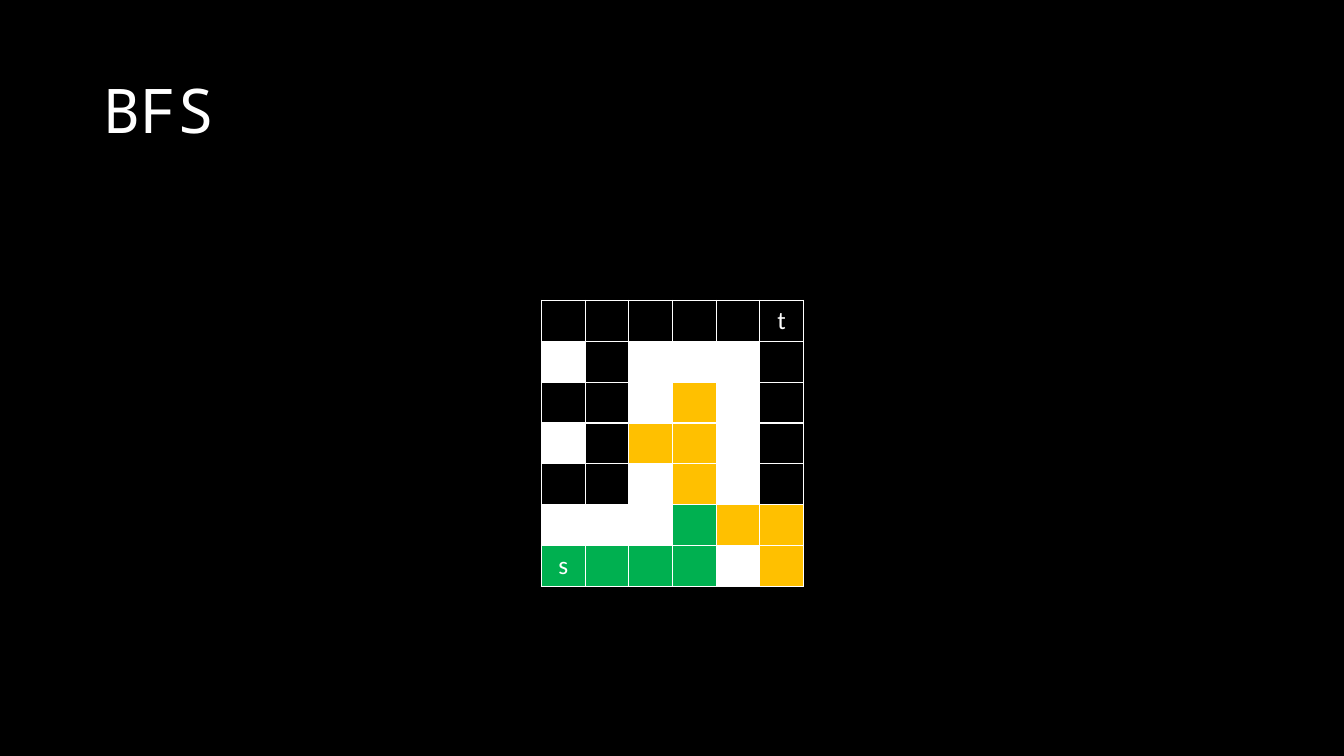
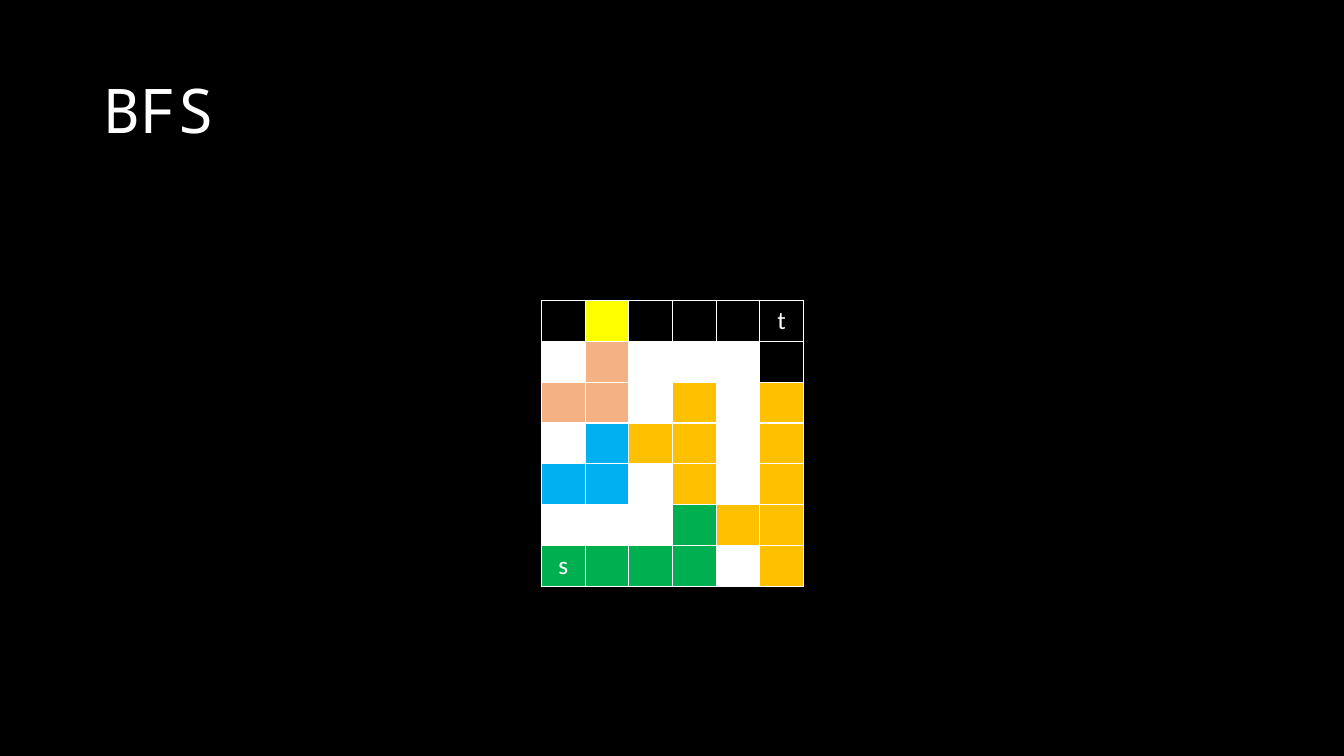
import pptx
import pptx.dml.color
import pptx.enum.text
import pptx.util
from lxml import etree
from pptx.oxml.ns import qn
from pptx.util import Inches

COLORS = {
    "background": "000000",
    "text": "FFFFFF",
    "border": "FFFFFF",
    "#": "FFFFFF",
    "g": "00B050",
    "s": "00B050",
    "o": "FFC000",
    "b": "00B0F0",
    "p": "F4B183",
    "y": "FFFF00",
}
LABELS = "st"
SHARED_ROWS = ["###goo", "sggg#o"]
MAZES = [
    [".....t", "#.###.", "..#o#.", "#.oo#.", "..#o#."] + SHARED_ROWS,
    [".y...t", "#p###.", "pp#o#o", "#boo#o", "bb#o#o"] + SHARED_ROWS,
]


def color(name):
    return pptx.dml.color.RGBColor.from_string(COLORS[name])


class Deck:
    title_font = "Noto Sans Mono"
    body_font = "Calibri"

    def __init__(self):
        self.presentation = pptx.Presentation()
        self.presentation.slide_width = Inches(13.33)
        self.presentation.slide_height = Inches(7.5)
        self.slide = None

    def add_slide(self, title):
        self.slide = self.presentation.slides.add_slide(self.presentation.slide_layouts[5])
        fill = self.slide.background.fill
        fill.solid()
        fill.fore_color.rgb = color("background")
        self.format_title(title)

    def format_title(self, text):
        shape = self.slide.shapes.title
        shape.left, shape.top = Inches(0.92), Inches(0.4)
        shape.width, shape.height = Inches(11.5), Inches(1.45)
        frame = shape.text_frame
        frame.text = text
        frame.auto_size = pptx.enum.text.MSO_AUTO_SIZE.NONE
        frame.vertical_anchor = pptx.enum.text.MSO_ANCHOR.MIDDLE
        paragraph = frame.paragraphs[0]
        paragraph.alignment = pptx.enum.text.PP_ALIGN.LEFT
        paragraph.line_spacing = 0.9
        self.format_runs(paragraph, self.title_font, 44)

    def format_runs(self, paragraph, font, size):
        for run in paragraph.runs:
            run.font.name = font
            run.font.size = pptx.util.Pt(size)
            run.font.color.rgb = color("text")

    def add_maze(self, rows):
        row_count, column_count = len(rows), len(rows[0])
        width, height = Inches(2.6), Inches(0.4 * row_count)
        table = self.slide.shapes.add_table(
            row_count, column_count, Inches(5.37), Inches(2.98), width, height
        ).table
        table.first_row = False
        table.horz_banding = False
        for row_index, row in enumerate(rows):
            for column_index, mark in enumerate(row):
                self.format_cell(table.cell(row_index, column_index), mark)

    def format_cell(self, cell, mark):
        self.add_borders(cell)
        if mark in COLORS:
            cell.fill.solid()
            cell.fill.fore_color.rgb = color(mark)
        else:
            cell.fill.background()
        if mark in LABELS:
            cell.text_frame.text = mark
            paragraph = cell.text_frame.paragraphs[0]
            paragraph.alignment = pptx.enum.text.PP_ALIGN.CENTER
            self.format_runs(paragraph, self.body_font, 18)

    def add_borders(self, cell):
        properties = cell._tc.get_or_add_tcPr()
        for side in "LRTB":
            line = etree.SubElement(properties, qn(f"a:ln{side}"), w=str(pptx.util.Pt(1)))
            fill = etree.SubElement(line, qn("a:solidFill"))
            etree.SubElement(fill, qn("a:srgbClr"), val=COLORS["border"])


def main():
    deck = Deck()
    for maze in MAZES:
        deck.add_slide("BFS")
        deck.add_maze(maze)
    deck.presentation.save("out.pptx")


if __name__ == "__main__":
    main()
